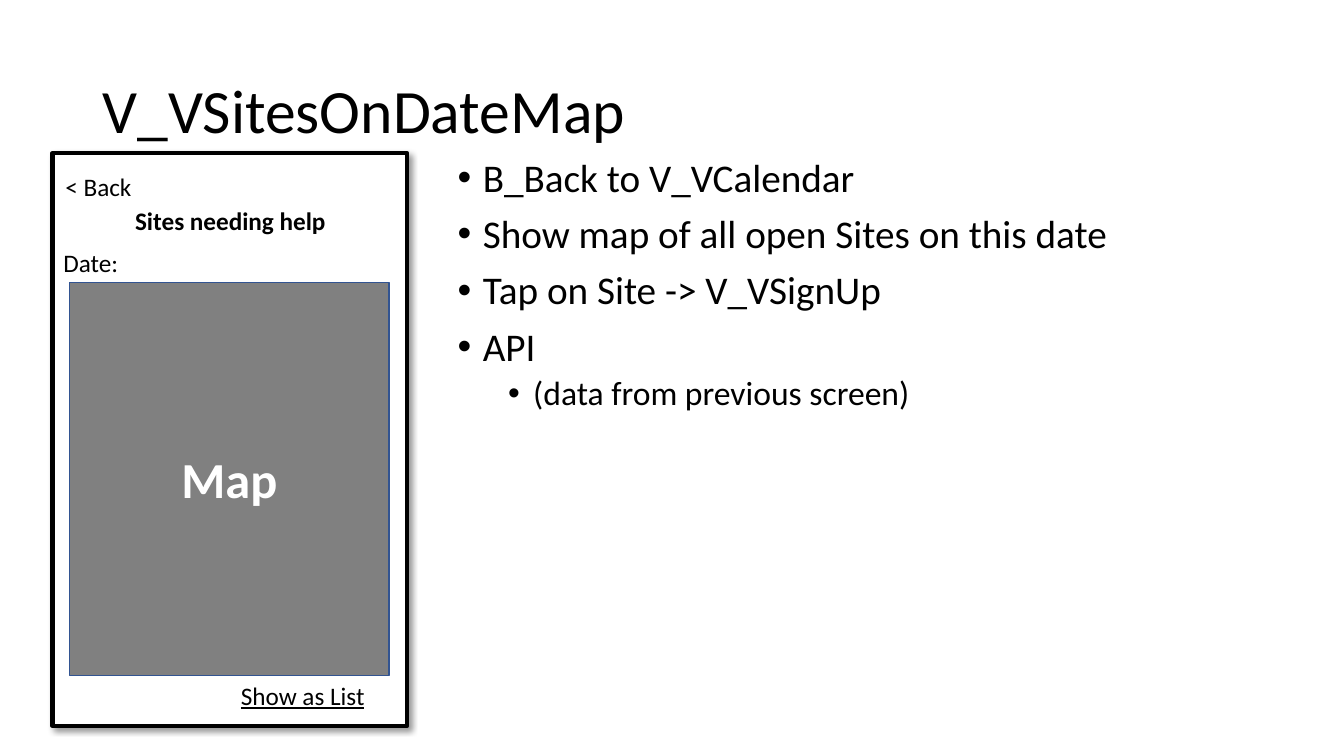
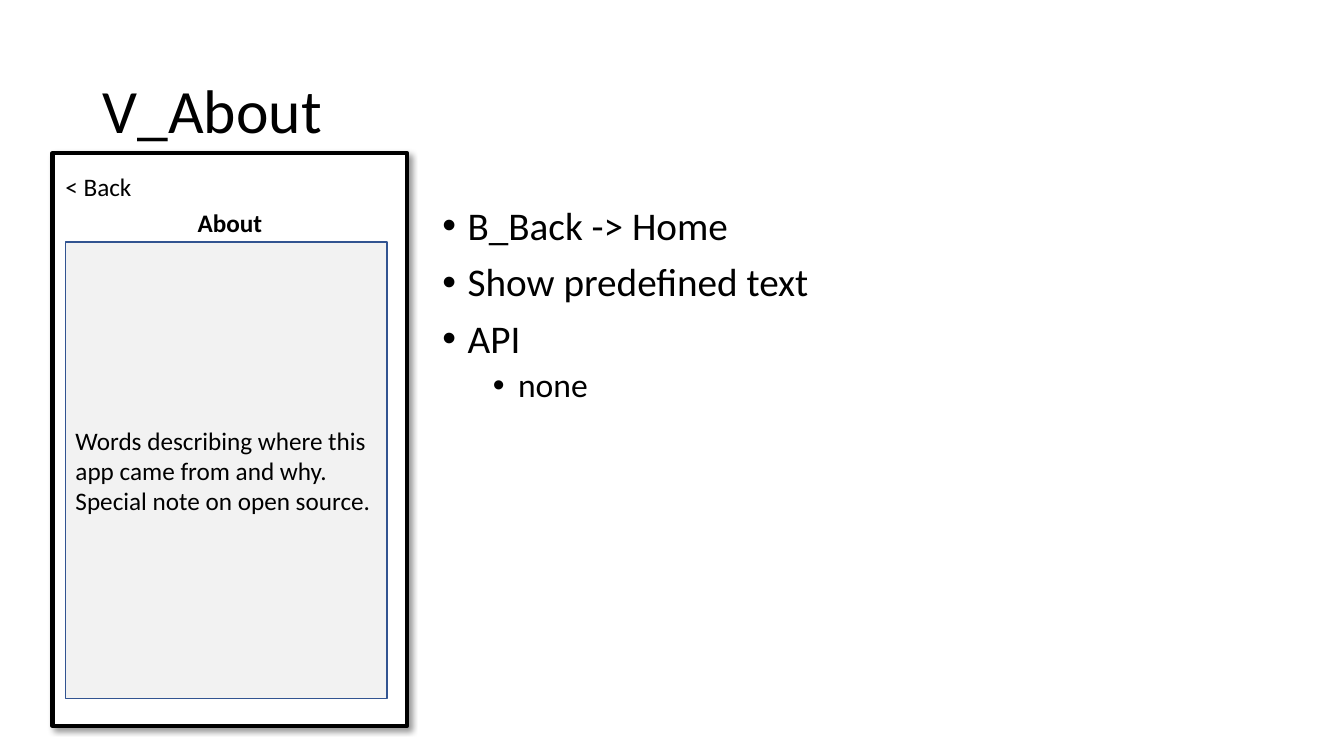
from dataclasses import dataclass

from lxml.etree import SubElement
from pptx import Presentation
from pptx.dml.color import RGBColor
from pptx.enum.shapes import MSO_SHAPE
from pptx.enum.text import MSO_ANCHOR, MSO_AUTO_SIZE, PP_ALIGN
from pptx.oxml.ns import qn
from pptx.util import Inches, Pt


@dataclass(frozen=True)
class Theme:
    """Colours, font and type sizes shared by the slides."""
    font: str = "Calibri"
    ink: str = "000000"
    paper: str = "FFFFFF"
    map_fill: str = "808080"
    note_fill: str = "F2F2F2"
    edge: str = "325491"
    title: int = 44
    map_label: int = 36
    label: int = 18
    bullets: tuple = (28, 24)
    bullet_gaps: tuple = (10, 5)


T = Theme()
PHONE = (0.52, 1.52, 3.52, 5.68)


def add_run(p, text, size, color=T.ink, bold=False, underline=False):
    """Add one formatted run to a paragraph."""
    r = p.add_run()
    r.text = text
    r.font.name = T.font
    r.font.size = Pt(size)
    r.font.color.rgb = RGBColor.from_string(color)
    r.font.bold = bold
    r.font.underline = underline


def add_box(s, at, wrap=True):
    """Add an empty text box and return its text frame."""
    tf = s.shapes.add_textbox(*map(Inches, at)).text_frame
    tf.word_wrap = wrap
    return tf


def add_rect(s, at, fill, line, width):
    """Add a flat outlined rectangle."""
    sp = s.shapes.add_shape(MSO_SHAPE.RECTANGLE, *map(Inches, at))
    sp.fill.solid()
    sp.fill.fore_color.rgb = RGBColor.from_string(fill)
    sp.line.color.rgb = RGBColor.from_string(line)
    sp.line.width = Pt(width)
    sp.shadow.inherit = False
    return sp


def add_title(s, text):
    """Add the slide title."""
    tf = add_box(s, (0.92, 0.4, 11.5, 1.45))
    tf.vertical_anchor = MSO_ANCHOR.MIDDLE
    p = tf.paragraphs[0]
    p.line_spacing = 0.9
    add_run(p, text, T.title)


def add_label(s, at, text, wrap=True, align=PP_ALIGN.LEFT, **style):
    """Add a one-line label of the phone screen."""
    tf = add_box(s, (*at, 0.4), wrap)
    tf.auto_size = MSO_AUTO_SIZE.SHAPE_TO_FIT_TEXT
    p = tf.paragraphs[0]
    p.alignment = align
    add_run(p, text, T.label, **style)


def add_phone(s, heading, at):
    """Add the phone frame with its back link and heading."""
    sp = add_rect(s, PHONE, T.paper, T.ink, 3)
    effects = sp.element.spPr.find(qn("a:effectLst"))
    shadow = SubElement(effects, qn("a:outerShdw"), blurRad=str(Pt(4)),
                        dist=str(Pt(3)), dir=str(45 * 60000),
                        algn="tl", rotWithShape="0")
    color = SubElement(shadow, qn("a:srgbClr"), val=T.ink)
    SubElement(color, qn("a:alpha"), val="40000")
    add_label(s, (0.55, 1.65, 0.86), "< Back", wrap=False)
    add_label(s, at, heading, align=PP_ALIGN.CENTER, bold=True)


def add_panel(s, at, fill, text, size, align=PP_ALIGN.LEFT, **style):
    """Add a filled content panel with text at mid height."""
    tf = add_rect(s, at, fill, T.edge, 1).text_frame
    tf.word_wrap = True
    tf.vertical_anchor = MSO_ANCHOR.MIDDLE
    p = tf.paragraphs[0]
    p.alignment = align
    add_run(p, text, size, **style)


def add_bullets(s, at, items):
    """Add a bulleted list from (level, text) pairs."""
    tf = add_box(s, at)
    for i, (level, text) in enumerate(items):
        p = tf.add_paragraph() if i else tf.paragraphs[0]
        p.level = level
        p.line_spacing = 0.9
        p.space_before = Pt(T.bullet_gaps[level])
        pPr = p._p.get_or_add_pPr()
        pPr.set("marL", str(Inches(0.25 + 0.5 * level)))
        pPr.set("indent", str(Inches(-0.25)))
        SubElement(pPr, qn("a:buFont"), typeface="Arial")
        SubElement(pPr, qn("a:buChar"), char="•")
        add_run(p, text, T.bullets[level])


def build_sites_map(s):
    """Build the screen with the map of sites on a date."""
    add_phone(s, "Sites needing help", (0.54, 1.99, 3.49))
    add_title(s, "V_VSitesOnDateMap")
    add_bullets(s, (4.44, 1.52, 7.98, 5.68), [
        (0, "B_Back to V_VCalendar"),
        (0, "Show map of all open Sites on this date"),
        (0, "Tap on Site -> V_VSignUp"),
        (0, "API"),
        (1, "(data from previous screen)"),
    ])
    add_panel(s, (0.69, 2.8, 3.17, 3.9), T.map_fill, "Map", T.map_label,
              PP_ALIGN.CENTER, color=T.paper, bold=True)
    add_label(s, (0.53, 2.4, 3.49), "Date:")
    add_label(s, (2.29, 6.7, 1.44), "Show as List", wrap=False, underline=True)


def build_about(s):
    """Build the screen with the predefined text."""
    add_title(s, "V_About")
    add_bullets(s, (4.29, 2, 8.13, 4.76), [
        (0, "B_Back -> Home"),
        (0, "Show predefined text"),
        (0, "API"),
        (1, "none"),
    ])
    add_phone(s, "About", (0.52, 2.01, 3.52))
    add_panel(s, (0.65, 2.4, 3.19, 4.53), T.note_fill,
              "Words describing where this app came from and why. "
              "Special note on open source.", T.label)


def main():
    """Build and save the presentation."""
    prs = Presentation()
    prs.slide_width, prs.slide_height = Inches(13.33), Inches(7.5)
    for build in (build_sites_map, build_about):
        build(prs.slides.add_slide(prs.slide_layouts[6]))
    prs.save("out.pptx")


if __name__ == "__main__":
    main()
